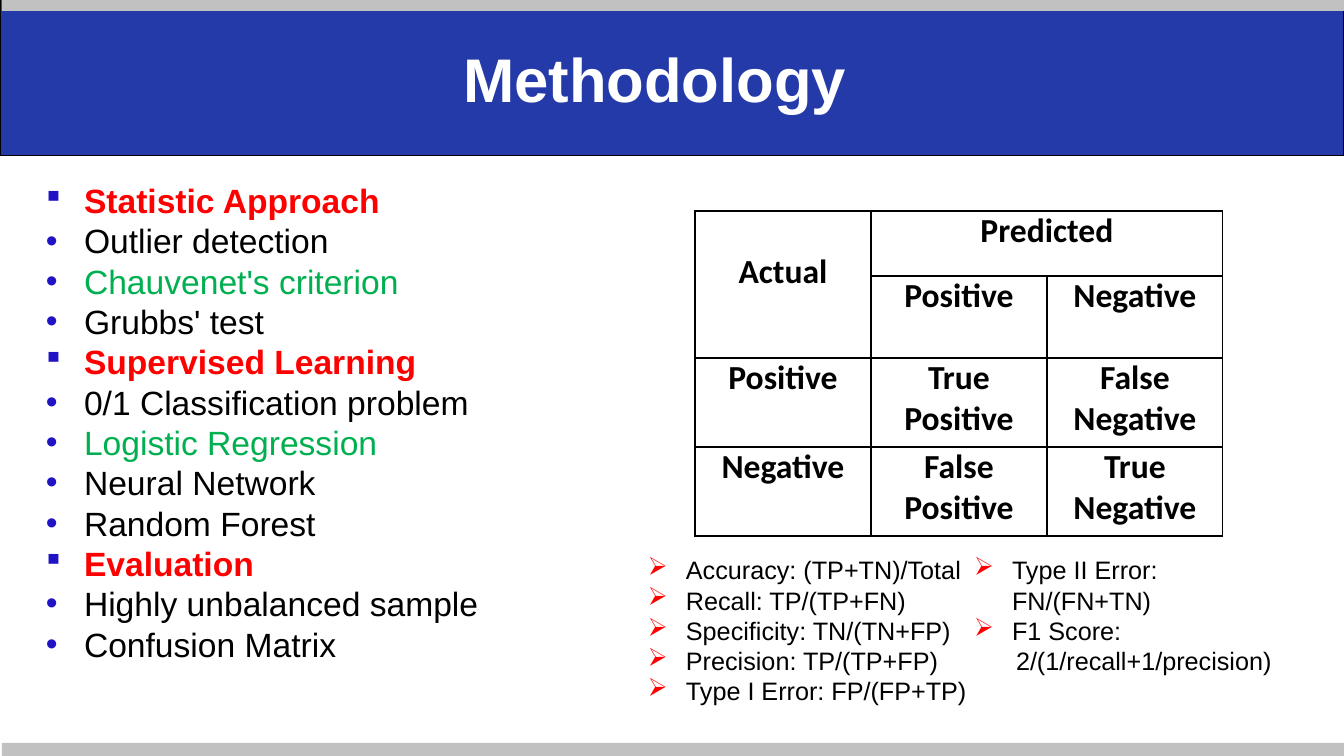
import pptx
import pptx.util
import pptx.dml.color
import pptx.enum.text
import pptx.enum.shapes
import pptx.oxml
import pptx.oxml.ns

ALIGN = pptx.enum.text.PP_ALIGN
FIT = pptx.enum.text.MSO_AUTO_SIZE
TOP = pptx.enum.text.MSO_ANCHOR.TOP
RECT = pptx.enum.shapes.MSO_SHAPE.RECTANGLE


def px(n):
    return pptx.util.Emu(round(n * 914400 / 100.8))


def tint(code):
    return pptx.dml.color.RGBColor.from_string(code)


def put(item, vals):
    for name, val in vals.items():
        setattr(item, name, val)


def node(tag, attrs="", inner=""):
    ns = pptx.oxml.ns.nsdecls("a")
    return pptx.oxml.parse_xml(f"<a:{tag} {ns} {attrs}>{inner}</a:{tag}>")


class Deck:
    """Hold the style and the current slide, and draw each kind of element."""

    flat = dict(margin_left=0, margin_right=0, margin_top=0, margin_bottom=0)
    hang = 38
    black = "000000"

    def __init__(self, wide, high):
        self.prs = pptx.Presentation()
        put(self.prs, dict(slide_width=px(wide), slide_height=px(high)))
        self.slide = self.prs.slides.add_slide(self.prs.slide_layouts[1])

    def place(self, shape, box):
        put(shape, dict(zip(("left", "top", "width", "height"), map(px, box))))

    def bar(self, box, fill, line=None):
        bar = self.slide.shapes.add_shape(RECT, *map(px, box))
        bar.shadow.inherit = False
        bar.fill.solid()
        bar.fill.fore_color.rgb = tint(fill)
        if line:
            bar.line.color.rgb = tint(line)
            bar.line.width = pptx.util.Pt(0.75)
        else:
            bar.line.fill.background()

    def label(self, para, text, size, color, bold=False, face="Arial"):
        run = para.add_run()
        run.text = text
        put(run.font, dict(name=face, size=pptx.util.Pt(size), bold=bold))
        run.font.color.rgb = tint(color)

    def holder(self, idx, box):
        shape = self.slide.placeholders[idx]
        self.place(shape, box)
        self.slide.shapes._spTree.append(shape._element)
        put(shape.text_frame, dict(self.flat, auto_size=FIT.NONE, word_wrap=True))
        return shape.text_frame

    def title(self, box, text):
        frame = self.holder(0, box)
        frame.vertical_anchor = pptx.enum.text.MSO_ANCHOR.MIDDLE
        para = frame.paragraphs[0]
        para.alignment = ALIGN.CENTER
        self.label(para, text, 44, "FFFFFF", True)

    def items(self, frame, rows, size, pitch, mark):
        for i, (text, sign, color, bold) in enumerate(rows):
            para = frame.paragraphs[0] if i == 0 else frame.add_paragraph()
            put(para, dict(alignment=ALIGN.LEFT, line_spacing=pptx.util.Pt(pitch),
                           space_before=pptx.util.Pt(0), space_after=pptx.util.Pt(0)))
            self.label(para, text, size, color, bold)
            props = para._p.get_or_add_pPr()
            left, dent = (self.hang, -self.hang) if sign else (self.hang + 4, 0)
            props.set("marL", str(px(left)))
            props.set("indent", str(px(dent)))
            if sign:
                face = "Arial" if sign == "•" else "Wingdings"
                props.append(node("buClr", "", f'<a:srgbClr val="{mark}"/>'))
                props.append(node("buFont", f'typeface="{face}"'))
                props.append(node("buChar", f'char="{sign}"'))
            else:
                props.append(node("buNone"))

    def body(self, box, rows):
        frame = self.holder(1, box)
        frame.vertical_anchor = TOP
        self.items(frame, rows, 24, 28.8, "2013C5")

    def notes(self, box, rows):
        frame = self.slide.shapes.add_textbox(*map(px, box)).text_frame
        put(frame, dict(word_wrap=True, auto_size=FIT.NONE, vertical_anchor=TOP))
        frame._txBody.bodyPr.set("numCol", "2")
        self.items(frame, rows, 18, 21.5, "FF0000")

    def edge(self, cell):
        props = cell._tc.get_or_add_tcPr()
        fill = f'<a:solidFill><a:srgbClr val="{self.black}"/></a:solidFill>'
        for i, side in enumerate(("lnL", "lnR", "lnT", "lnB")):
            props.insert(i, node(side, 'w="12700"', fill))

    def table(self, box, highs, rows, spans):
        wide = len(rows[0])
        frame = self.slide.shapes.add_table(len(rows), wide, *map(px, box))
        grid = frame.table
        put(grid, dict(first_row=False, horz_banding=False))
        for col in grid.columns:
            col.width = px(box[2] / wide)
        for r, (high, row) in enumerate(zip(highs, rows)):
            grid.rows[r].height = px(high)
            for c, text in enumerate(row):
                cell = grid.cell(r, c)
                put(cell, dict(self.flat, margin_left=px(7), margin_right=px(7),
                               vertical_anchor=TOP))
                cell.fill.solid()
                cell.fill.fore_color.rgb = tint("FFFFFF")
                self.edge(cell)
                if text:
                    para = cell.text_frame.paragraphs[0]
                    para.alignment = ALIGN.CENTER
                    self.label(para, text, 24, self.black, True, "Calibri")
        for start, end in spans:
            grid.cell(*start).merge(grid.cell(*end))
        grid.cell(0, 0).margin_top = px(41)


def main():
    deck = Deck(1344, 756)
    deck.bar((0, -2, 1344, 158), "243AA8", deck.black)
    deck.bar((2, 743, 1342, 13), "C1C1C1")
    deck.bar((2, -1, 1342, 12), "C1C1C1")
    deck.title((455, 35, 400, 85), "Methodology")

    topics = {
        "Statistic Approach": ("Outlier detection", "Chauvenet's criterion", "Grubbs' test"),
        "Supervised Learning": ("0/1 Classification problem", "Logistic Regression",
                                "Neural Network", "Random Forest"),
        "Evaluation": ("Highly unbalanced sample", "Confusion Matrix"),
    }
    green = ("Chauvenet's criterion", "Logistic Regression")
    rows = []
    for head, points in topics.items():
        rows.append((head, "§", "FF0000", True))
        rows += [(p, "•", "00B050" if p in green else deck.black, False) for p in points]
    deck.body((46, 180, 634, 508), rows)

    deck.table((695, 211, 528, 324), (65, 81, 89, 89), (
        ("Actual", "Predicted", ""),
        ("", "Positive", "Negative"),
        ("Positive", "True Positive", "False Negative"),
        ("Negative", "False Positive", "True Negative"),
    ), (((0, 0), (1, 0)), ((0, 1), (0, 2))))

    rates = ("Accuracy: (TP+TN)/Total", "Recall: TP/(TP+FN)", "Specificity: TN/(TN+FP)",
             "Precision: TP/(TP+FP)", "Type I Error: FP/(FP+TP)",
             "Type II Error: FN/(FN+TN)", "F1 Score:")
    lines = [(rate, "Ø", deck.black, False) for rate in rates]
    lines.append(("2/(1/recall+1/precision)", "", deck.black, False))
    deck.notes((638, 550, 672, 164), lines)
    deck.prs.save("out.pptx")


if __name__ == "__main__":
    main()
